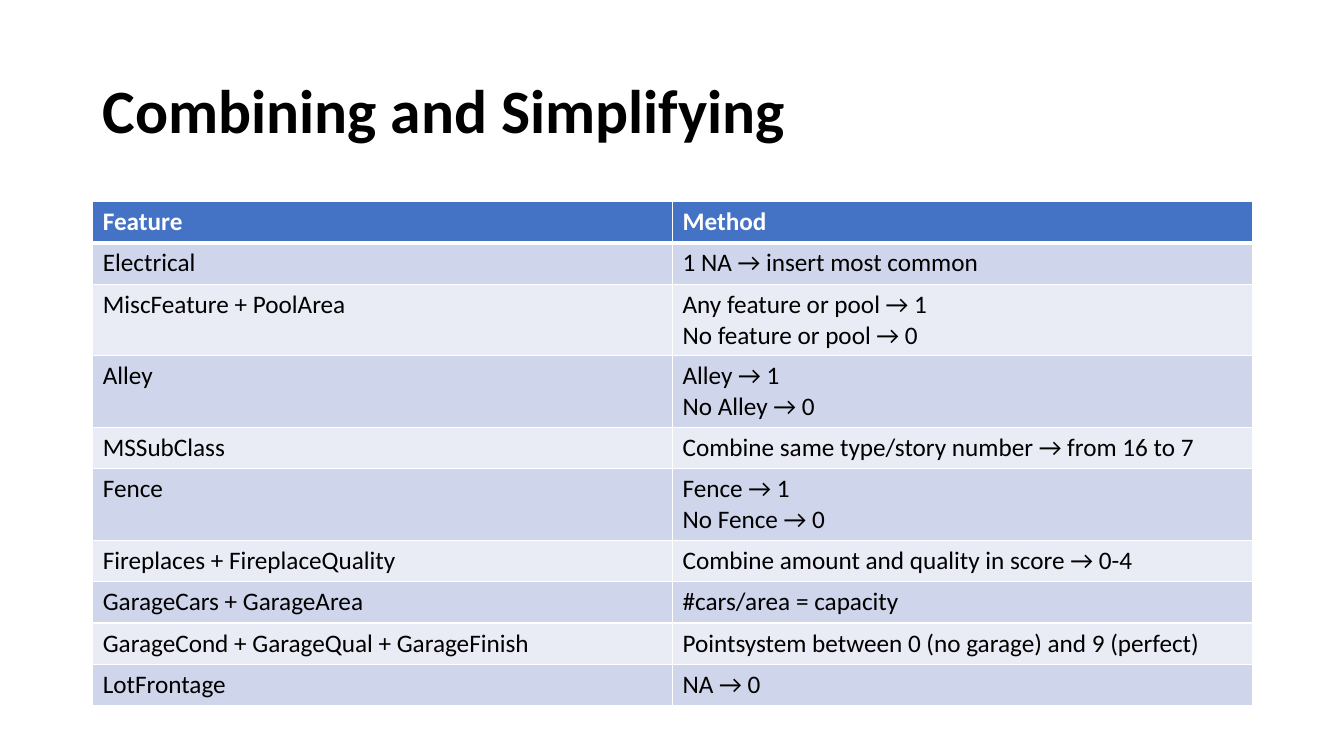
from lxml.etree import SubElement
from pptx import Presentation
from pptx.dml.color import RGBColor
from pptx.enum.text import MSO_ANCHOR, PP_ALIGN
from pptx.oxml.ns import qn
from pptx.util import Inches, Pt

COLORS = {
    "title": "000000",
    "header": "4472C4",
    "header_text": "FFFFFF",
    "odd_row": "CFD5EA",
    "even_row": "E9EBF5",
    "body_text": "000000",
    "border": "FFFFFF",
}
FONT = "Calibri"

FEATURE_METHODS = [
    ("Feature", "Method"),
    ("Electrical", "1 NA → insert most common"),
    ("MiscFeature + PoolArea", "Any feature or pool → 1\nNo feature or pool → 0"),
    ("Alley", "Alley → 1\nNo Alley → 0"),
    ("MSSubClass", "Combine same type/story number → from 16 to 7"),
    ("Fence", "Fence → 1\nNo Fence → 0"),
    ("Fireplaces + FireplaceQuality", "Combine amount and quality in score → 0-4"),
    ("GarageCars + GarageArea", "#cars/area = capacity"),
    ("GarageCond + GarageQual + GarageFinish",
     "Pointsystem between 0 (no garage) and 9 (perfect)"),
    ("LotFrontage", "NA → 0"),
]


def format_text(text_frame, size, color, bold):
    for paragraph in text_frame.paragraphs:
        paragraph.alignment = PP_ALIGN.LEFT
        for run in paragraph.runs:
            run.font.name = FONT
            run.font.size = Pt(size)
            run.font.bold = bold
            run.font.color.rgb = RGBColor.from_string(color)


def add_border(cell, side, width):
    line = SubElement(cell._tc.get_or_add_tcPr(), qn(f"a:ln{side}"), w=str(Pt(width)))
    fill = SubElement(line, qn("a:solidFill"))
    SubElement(fill, qn("a:srgbClr"), val=COLORS["border"])


presentation = Presentation()
presentation.slide_width = Inches(13.33)
presentation.slide_height = Inches(7.5)
slide = presentation.slides.add_slide(presentation.slide_layouts[5])

# Title
title = slide.shapes.title
title.left, title.top = Inches(0.92), Inches(0.4)
title.width, title.height = Inches(11.5), Inches(1.45)
title.text_frame.text = "Combining and Simplifying"
title.text_frame.vertical_anchor = MSO_ANCHOR.MIDDLE
title.text_frame.paragraphs[0].line_spacing = 0.9
format_text(title.text_frame, 44, COLORS["title"], True)

# Table of features and methods
row_height = Inches(0.41)
methods_table = slide.shapes.add_table(
    len(FEATURE_METHODS), 2, Inches(0.92), Inches(2),
    Inches(11.5), row_height * len(FEATURE_METHODS)).table

for row, texts in enumerate(FEATURE_METHODS):
    methods_table.rows[row].height = row_height
    is_header = row == 0
    if is_header:
        fill_color, text_color = COLORS["header"], COLORS["header_text"]
    else:
        fill_color = COLORS["odd_row" if row % 2 else "even_row"]
        text_color = COLORS["body_text"]
    for column, text in enumerate(texts):
        cell = methods_table.cell(row, column)
        cell.text_frame.text = text
        format_text(cell.text_frame, 18, text_color, is_header)

        # White grid with a thicker rule under the header
        top_width = 3 if row == 1 else 1
        bottom_width = 3 if is_header else 1
        for side, width in (("L", 1), ("R", 1), ("T", top_width), ("B", bottom_width)):
            add_border(cell, side, width)
        cell.fill.solid()
        cell.fill.fore_color.rgb = RGBColor.from_string(fill_color)

presentation.save("out.pptx")
